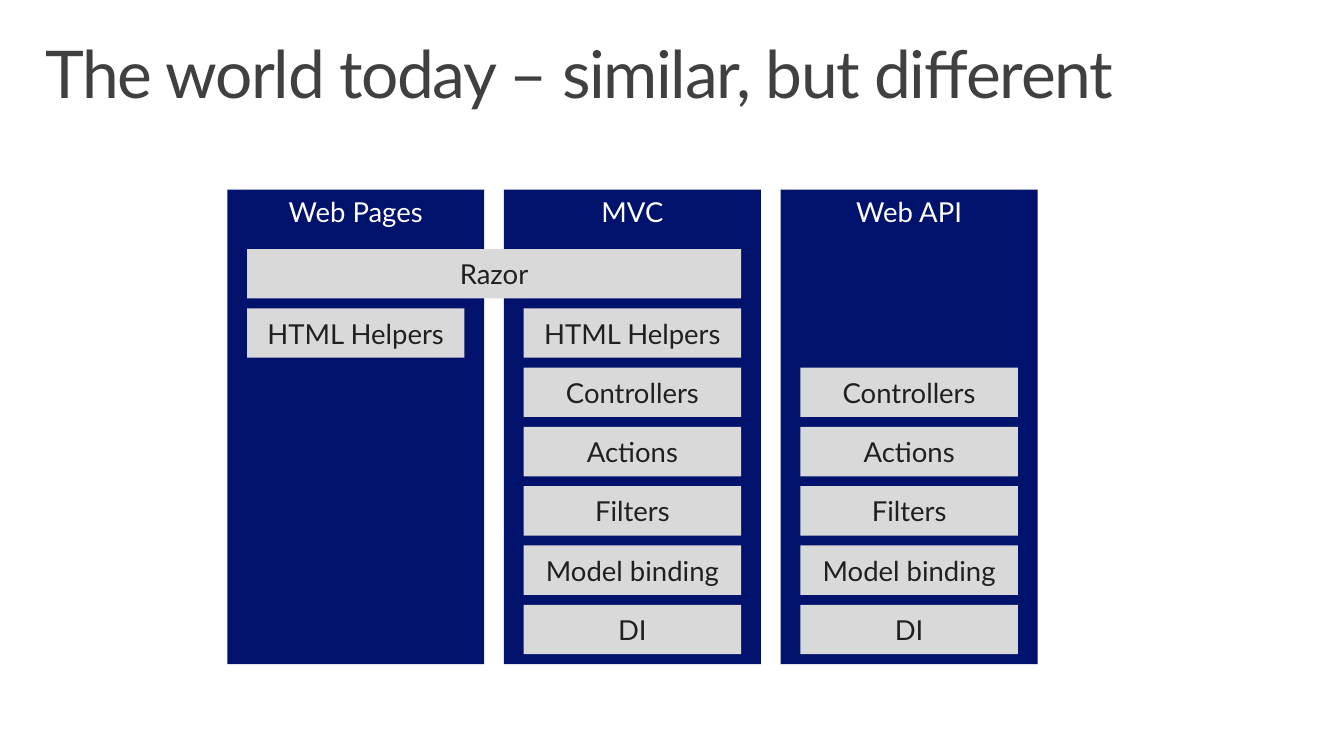
from pptx import Presentation
from pptx.dml.color import RGBColor
from pptx.enum.shapes import MSO_SHAPE
from pptx.enum.text import MSO_ANCHOR, PP_ALIGN
from pptx.util import Inches, Pt

COLORS = {"title": "404040", "column": "00126B", "heading": "FFFFFF",
          "feature": "D9D9D9", "label": "202020"}

# Grid in inches: three framework columns, seven feature rows
COLUMN_LEFT, COLUMN_TOP = 2.3, 1.92
COLUMN_WIDTH, COLUMN_HEIGHT, COLUMN_STEP = 2.6, 4.8, 2.8
ROW_TOP, ROW_HEIGHT, ROW_STEP = 2.52, 0.5, 0.6
PADDING = 0.2

FRAMEWORKS = ["Web Pages", "MVC", "Web API"]
# Each feature: label and the (first, last) columns of each of its bars
FEATURES = [
    ("Razor", [(0, 1)]),
    ("HTML Helpers", [(0, 0), (1, 1)]),
    ("Controllers", [(1, 1), (2, 2)]),
    ("Actions", [(1, 1), (2, 2)]),
    ("Filters", [(1, 1), (2, 2)]),
    ("Model binding", [(1, 1), (2, 2)]),
    ("DI", [(1, 1), (2, 2)]),
]


def write(box, text, size, color, anchor, inset_x, inset_y):
    frame = box.text_frame
    frame.text = text
    frame.word_wrap = True
    frame.vertical_anchor = anchor
    frame.margin_left = frame.margin_right = Inches(inset_x)
    frame.margin_top = frame.margin_bottom = Inches(inset_y)
    para = frame.paragraphs[0]
    span = para.runs[0]
    span.font.name = "Lato"
    span.font.size = Pt(size)
    span.font.color.rgb = RGBColor.from_string(COLORS[color])
    return para


def add_block(left, top, width, height, fill, text, color, anchor):
    block = page.shapes.add_shape(MSO_SHAPE.RECTANGLE, Inches(left), Inches(top),
                                  Inches(width), Inches(height))
    block.shadow.inherit = False
    block.fill.solid()
    block.fill.fore_color.rgb = RGBColor.from_string(COLORS[fill])
    block.line.fill.background()
    write(block, text, 20, color, anchor, 0, 0.05).alignment = PP_ALIGN.CENTER


deck = Presentation()
deck.slide_width, deck.slide_height = Inches(13.6), Inches(7.65)
page = deck.slides.add_slide(deck.slide_layouts[6])

# Title with slightly tightened letters
title = page.shapes.add_textbox(Inches(0.3), Inches(0.32), Inches(13), Inches(1))
title_para = write(title, "The world today – similar, but different", 48, "title",
                   MSO_ANCHOR.TOP, 0.16, 0.1)
title_para.line_spacing = 0.9
title_para.runs[0].font._element.set("spc", "-100")

# Framework columns
for column, framework in enumerate(FRAMEWORKS):
    add_block(COLUMN_LEFT + column * COLUMN_STEP, COLUMN_TOP, COLUMN_WIDTH, COLUMN_HEIGHT,
              "column", framework, "heading", MSO_ANCHOR.TOP)

# Feature bars, one row per feature
for row, (feature, bars) in enumerate(FEATURES):
    for first, last in bars:
        left = COLUMN_LEFT + first * COLUMN_STEP + PADDING
        width = (last - first) * COLUMN_STEP + COLUMN_WIDTH - 2 * PADDING
        add_block(left, ROW_TOP + row * ROW_STEP, width, ROW_HEIGHT,
                  "feature", feature, "label", MSO_ANCHOR.MIDDLE)

deck.save("out.pptx")
